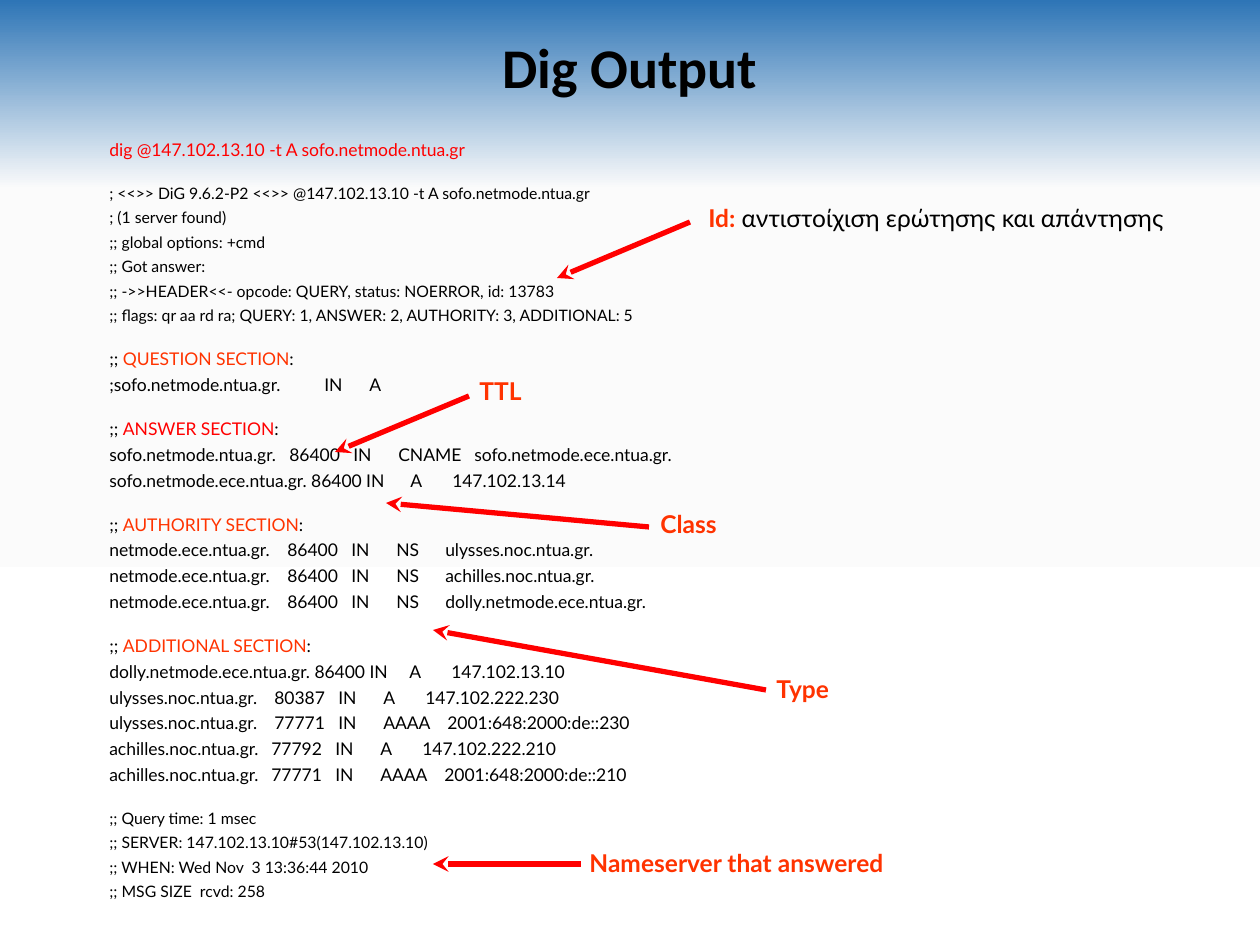
"""Build the slide that explains the output of dig."""
from dataclasses import dataclass

from lxml.etree import SubElement
from pptx import Presentation
from pptx.dml.color import RGBColor
from pptx.enum.shapes import MSO_CONNECTOR
from pptx.enum.text import MSO_ANCHOR, PP_ALIGN
from pptx.oxml.ns import qn
from pptx.slide import Slide
from pptx.text.text import TextFrame
from pptx.util import Emu, Pt

SCALE = 914400 / 126
BLACK, RED, ORANGE = "000000", "FF0000", "FF3300"
STOPS = ((0, "2E75B6"), (20, "FBFBFB"), (100, "FFFFFF"))


@dataclass(frozen=True)
class Run:
    """A stretch of text in one colour."""
    text: str
    color: str = BLACK
    bold: bool = False


@dataclass(frozen=True)
class Row:
    """One line of output, with tab stops in px from the text edge."""
    runs: tuple[Run, ...]
    size: int = 10
    tabs: tuple[int, ...] = ()
    first: bool = False


@dataclass(frozen=True)
class Note:
    """A label and the arrow that leads from it."""
    box: tuple[int, int, int, int]
    start: tuple[int, int]
    end: tuple[int, int]
    runs: tuple[Run, ...]


def px(value: int) -> Emu:
    """Turn px into EMU."""
    return Emu(round(value * SCALE))


def rgb(code: str) -> RGBColor:
    """Turn a hex string into a colour."""
    return RGBColor.from_string(code)


def plain(size: int, *lines: str) -> list[Row]:
    """Make a block of simple lines."""
    return [Row((Run(line),), size, first=not i) for i, line in enumerate(lines)]


def section(name: str, color: str, *lines: tuple[str, tuple[int, ...]]) -> list[Row]:
    """Make a headed block of tabbed records."""
    head = Row((Run(";; "), Run(name, color), Run(":")), first=True)
    return [head] + [Row((Run(text),), tabs=tabs) for text, tabs in lines]


def label(text: str) -> Run:
    """Make a bold label."""
    return Run(text, ORANGE, True)


COMMAND = "@147.102.13.10 -t A sofo.netmode.ntua.gr"
ZONE = "netmode.ece.ntua.gr.\t86400\tIN\tNS\t"
ZONE_TABS = (178, 242, 287, 336)
ROWS = [
    Row((Run(f"dig {COMMAND}", RED),)),
    *plain(
        9,
        f"; <<>> DiG 9.6.2-P2 <<>> {COMMAND}",
        "; (1 server found)",
        ";; global options: +cmd",
        ";; Got answer:",
        ";; ->>HEADER<<- opcode: QUERY, status: NOERROR, id: 13783",
        ";; flags: qr aa rd ra; QUERY: 1, ANSWER: 2, AUTHORITY: 3, ADDITIONAL: 5",
    ),
    *section(
        "QUESTION SECTION", ORANGE,
        (";sofo.netmode.ntua.gr.\tIN\tA", (215, 260)),
    ),
    *section(
        "ANSWER SECTION", RED,
        ("sofo.netmode.ntua.gr.\t86400\tIN\tCNAME\tsofo.netmode.ece.ntua.gr.",
         (180, 244, 289, 365)),
        ("sofo.netmode.ece.ntua.gr. 86400 IN\tA\t147.102.13.14", (301, 343)),
    ),
    *section(
        "AUTHORITY SECTION", ORANGE,
        *((ZONE + host, ZONE_TABS) for host in (
            "ulysses.noc.ntua.gr.", "achilles.noc.ntua.gr.", "dolly.netmode.ece.ntua.gr.")),
    ),
    *section(
        "ADDITIONAL SECTION", ORANGE,
        ("dolly.netmode.ece.ntua.gr. 86400 IN\tA\t147.102.13.10", (300, 342)),
        ("ulysses.noc.ntua.gr.\t80387\tIN\tA\t147.102.222.230", (165, 229, 274, 316)),
        ("ulysses.noc.ntua.gr.\t77771\tIN\tAAAA\t2001:648:2000:de::230",
         (165, 229, 274, 338)),
        ("achilles.noc.ntua.gr.\t77792\tIN\tA\t147.102.222.210", (162, 226, 271, 313)),
        ("achilles.noc.ntua.gr.\t77771\tIN\tAAAA\t2001:648:2000:de::210",
         (162, 226, 271, 335)),
    ),
    *plain(
        9,
        ";; Query time: 1 msec",
        ";; SERVER: 147.102.13.10#53(147.102.13.10)",
        ";; WHEN: Wed Nov  3 13:36:44 2010",
        ";; MSG SIZE  rcvd: 258",
    ),
]
NOTES = [
    Note((467, 370, 136, 42), (469, 396), (335, 452), (label("TTL"),)),
    Note((648, 503, 126, 42), (649, 527), (386, 503), (label("Class"),)),
    Note((764, 668, 168, 42), (766, 690), (433, 630), (label("Type"),)),
    Note((577, 842, 462, 42), (581, 864), (433, 864), (label("Nameserver that answered"),)),
    Note((696, 197, 501, 43), (690, 222), (557, 278),
         (label("Id: "), Run("αντιστοίχιση ερώτησης και απάντησης"))),
]


def paint(slide: Slide) -> None:
    """Fill the background with a vertical gradient."""
    fill = slide.background.fill
    fill.gradient()
    fill.gradient_angle = 270
    stops = slide.element.find(f".//{qn('a:gsLst')}")
    stops.clear()
    for place, color in STOPS:
        stop = SubElement(stops, qn("a:gs"), pos=str(place * 1000))
        SubElement(stop, qn("a:srgbClr"), val=color)


def frame(slide: Slide, box: tuple[int, int, int, int]) -> TextFrame:
    """Add a wrapping text box."""
    text = slide.shapes.add_textbox(*map(px, box)).text_frame
    text.word_wrap = True
    return text


def write(para, runs: tuple[Run, ...], size: int, face: str) -> None:
    """Write runs into a paragraph, with shared traits on the paragraph."""
    lead = runs[0]
    para.font.name, para.font.size = face, Pt(size)
    para.font.bold = lead.bold
    para.font.color.rgb = rgb(lead.color)
    for part in runs:
        run = para.add_run()
        run.text = part.text
        if part.color != lead.color:
            run.font.color.rgb = rgb(part.color)
        if part.bold != lead.bold:
            run.font.bold = part.bold


def stops(para, tabs: tuple[int, ...]) -> None:
    """Give a paragraph its left tab stops."""
    props = para._p.get_or_add_pPr()
    group = SubElement(props, qn("a:tabLst"))
    for tab in tabs:
        SubElement(group, qn("a:tab"), pos=str(px(tab)), algn="l")
    props.find(qn("a:defRPr")).addprevious(group)


def listing(slide: Slide, rows: list[Row]) -> None:
    """Write the whole dig output."""
    text = frame(slide, (97, 140, 1081, 704))
    for i, row in enumerate(rows):
        para = text.add_paragraph() if i else text.paragraphs[0]
        para.line_spacing = 0.6
        para.space_before = Pt(18 if row.first else 7.5)
        write(para, row.runs, row.size, "Lato")
        if row.tabs:
            stops(para, row.tabs)


def point(slide: Slide, note: Note) -> None:
    """Draw a label with its arrow."""
    line = slide.shapes.add_connector(
        MSO_CONNECTOR.STRAIGHT, *map(px, note.start + note.end))
    line.line.color.rgb = rgb(RED)
    line.line.width = Pt(3)
    SubElement(line.line._get_or_add_ln(), qn("a:tailEnd"), type="stealth")
    SubElement(line._element.spPr, qn("a:effectLst"))
    write(frame(slide, note.box).paragraphs[0], note.runs, 14, "Lato")


def main() -> None:
    """Build and save the slide."""
    deck = Presentation()
    deck.slide_width, deck.slide_height = px(1260), px(945)
    slide = deck.slides.add_slide(deck.slide_layouts[6])
    paint(slide)
    title = frame(slide, (87, 20, 1086, 100))
    title.vertical_anchor = MSO_ANCHOR.MIDDLE
    head = title.paragraphs[0]
    head.alignment, head.line_spacing = PP_ALIGN.CENTER, 0.9
    write(head, (Run("Dig Output", bold=True),), 32, "Calibri")
    listing(slide, ROWS)
    for note in NOTES:
        point(slide, note)
    deck.save("out.pptx")


if __name__ == "__main__":
    main()
